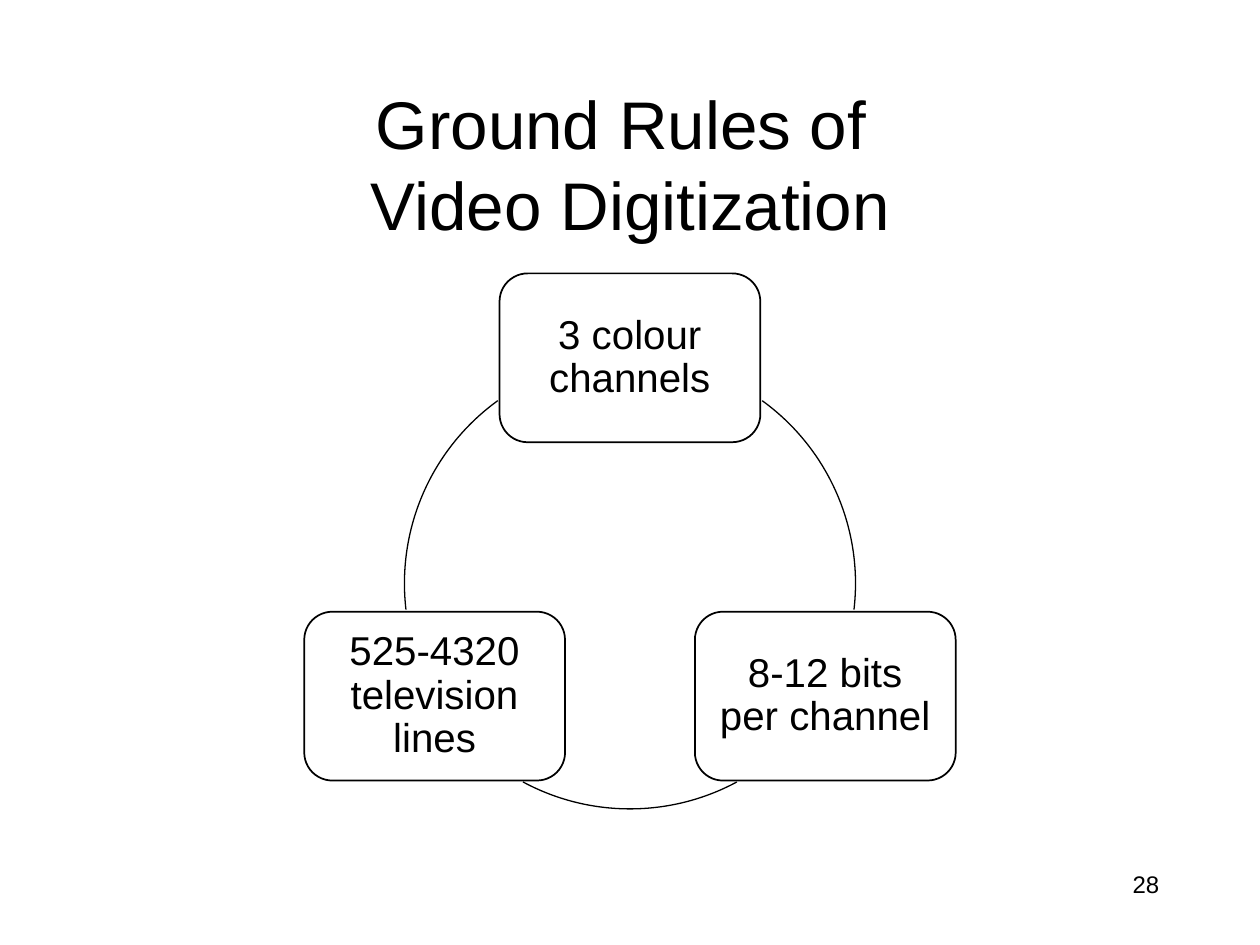
from math import cos, radians, sin

from pptx import Presentation
from pptx.dml.color import RGBColor
from pptx.enum.shapes import MSO_SHAPE
from pptx.enum.text import MSO_ANCHOR, PP_ALIGN
from pptx.util import Inches, Pt

ROUNDED, ARC = MSO_SHAPE.ROUNDED_RECTANGLE, MSO_SHAPE.ARC
TOP, MIDDLE = MSO_ANCHOR.TOP, MSO_ANCHOR.MIDDLE
LEFT, CENTER = PP_ALIGN.LEFT, PP_ALIGN.CENTER
BLACK = RGBColor(0x00, 0x00, 0x00)
WHITE = RGBColor(0xFF, 0xFF, 0xFF)

# Content: a vertical tab is a line break
TITLE = "Ground Rules of \vVideo Digitization"
PAGE_NUMBER = "28"
# Rule and its angle on the ring, clockwise from the right
RULES = [
    ("3 colour channels", -90),
    ("8-12 bits per channel", 30),
    ("525-4320 television lines", 150),
]
# Start and end angles of the ring between the boxes
GAPS = [(305.9, 6.7), (61.7, 118.3), (173.3, 234.1)]

# Ring and box geometry in inches
CENTER_X, CENTER_Y, RADIUS = 5.0, 4.63, 1.79
BOX_WIDTH, BOX_HEIGHT = 2.07, 1.34

TITLE_FORMAT = {"size": 38.5, "align": CENTER, "anchor": MIDDLE, "inset": 0.06}
RULE_FORMAT = {"size": 23, "align": CENTER, "anchor": MIDDLE, "inset": 0.1, "spacing": 0.9}
NUMBER_FORMAT = {"size": 13.7, "align": LEFT, "anchor": TOP, "inset": 0.06}


def write(shape, text, style):
    frame = shape.text_frame
    frame.word_wrap = True
    frame.vertical_anchor = style["anchor"]
    for side in ("left", "top", "right", "bottom"):
        setattr(frame, f"margin_{side}", Inches(style["inset"]))
    paragraph = frame.paragraphs[0]
    paragraph.text = text
    paragraph.alignment = style["align"]
    paragraph.line_spacing = style.get("spacing")
    font_format = {"name": "Arial", "size": Pt(style["size"])}
    for run in paragraph.runs:
        for key, value in font_format.items():
            setattr(run.font, key, value)
        run.font.color.rgb = BLACK


def add_label(slide, text, place, style):
    write(slide.shapes.add_textbox(*map(Inches, place)), text, style)


def add_outlined(slide, preset, place, line_width):
    shape = slide.shapes.add_shape(preset, *map(Inches, place))
    shape.shadow.inherit = False
    shape.line.color.rgb = BLACK
    shape.line.width = Pt(line_width)
    return shape


def add_rule(slide, text, angle):
    left = CENTER_X + RADIUS * cos(radians(angle)) - BOX_WIDTH / 2
    top = CENTER_Y + RADIUS * sin(radians(angle)) - BOX_HEIGHT / 2
    box = add_outlined(slide, ROUNDED, (left, top, BOX_WIDTH, BOX_HEIGHT), 1)
    box.fill.solid()
    box.fill.fore_color.rgb = WHITE
    write(box, text, RULE_FORMAT)


def add_arc(slide, angles):
    place = (CENTER_X - RADIUS, CENTER_Y - RADIUS, 2 * RADIUS, 2 * RADIUS)
    arc = add_outlined(slide, ARC, place, 0.75)
    arc.fill.background()
    for index, angle in enumerate(angles):
        # Angles are 60000ths of a degree, adjustments 100000ths
        arc.adjustments[index] = angle * 0.6


def main():
    prs = Presentation()
    prs.slide_width, prs.slide_height = Inches(10), Inches(7.5)
    slide = prs.slides.add_slide(prs.slide_layouts[6])

    add_label(slide, TITLE, (0.75, 0.67, 8.51, 1.25), TITLE_FORMAT)

    # Cycle: each box is followed by the arc to the next
    for (text, angle), gap in zip(RULES, GAPS):
        add_rule(slide, text, angle)
        add_arc(slide, gap)

    add_label(slide, PAGE_NUMBER, (8.93, 6.84, 1.07, 0.32), NUMBER_FORMAT)
    prs.save("out.pptx")


if __name__ == "__main__":
    main()
